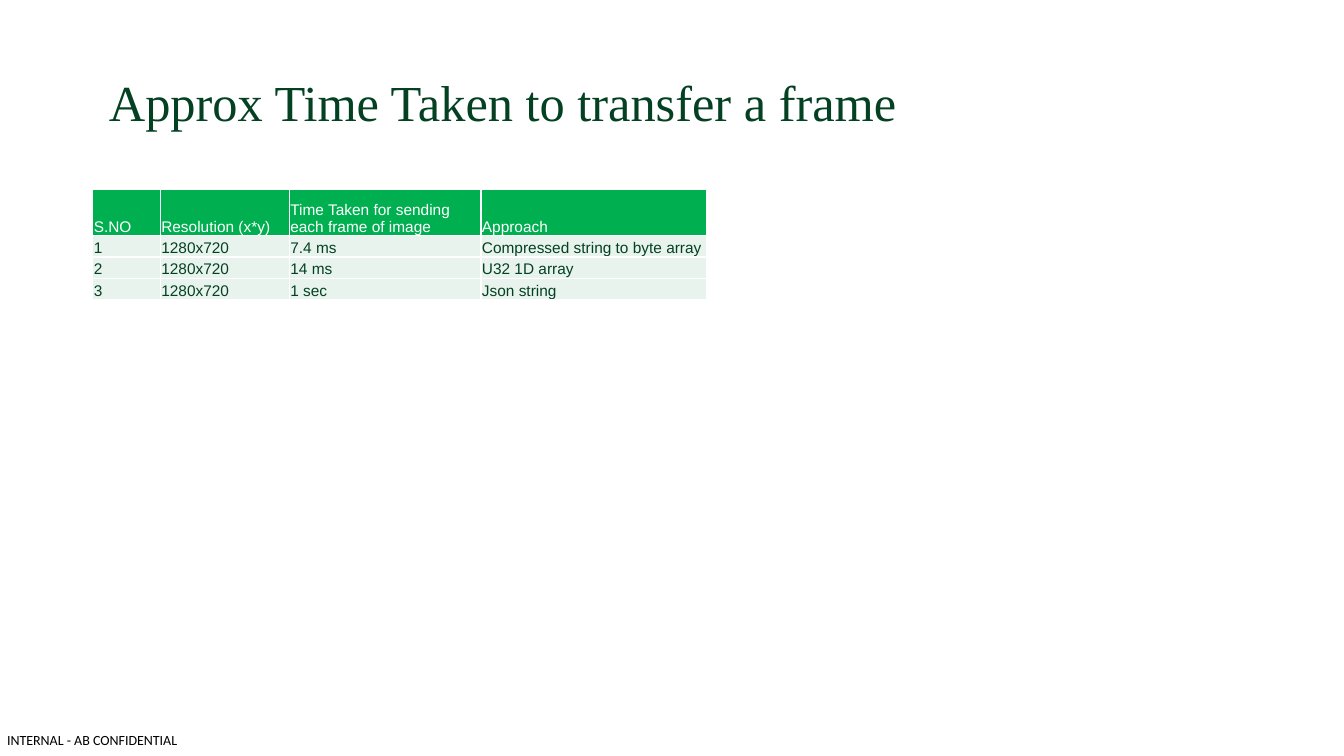
import pptx
import pptx.dml.color
import pptx.enum.text
import pptx.oxml
import pptx.oxml.ns
import pptx.util
from pptx.util import Inches

TITLE = "Approx Time Taken to transfer a frame"
FOOTER = "INTERNAL - AB CONFIDENTIAL"
ROWS = [
    ("S.NO", "Resolution (x*y)", "Time Taken for sending each frame of image", "Approach"),
    ("1", "1280x720", "7.4 ms", "Compressed string to byte array"),
    ("2", "1280x720", "14 ms", "U32 1D array"),
    ("3", "1280x720", "1 sec", "Json string"),
]
COLUMN_WIDTHS = [0.67, 1.28, 1.9, 2.24]
HEADER_HEIGHT, BODY_HEIGHT = 0.46, 0.21

DARK_GREEN, GREEN, PALE_GREEN = "044123", "00B050", "E7F3EC"
WHITE, BLACK = "FFFFFF", "000000"


def color(value):
    return pptx.dml.color.RGBColor.from_string(value)


def write(paragraph, text, size, font, value):
    run = paragraph.add_run()
    run.text = text
    run.font.size = pptx.util.Pt(size)
    run.font.name = font
    run.font.color.rgb = color(value)


def set_margins(target, left, top, right, bottom):
    """Set the inner margins, in inches, of a text frame or table cell."""
    target.margin_left, target.margin_top = Inches(left), Inches(top)
    target.margin_right, target.margin_bottom = Inches(right), Inches(bottom)


def add_borders(cell, value):
    """Draw a one-point line on every side; lines must precede the fill."""
    properties = cell._tc.get_or_add_tcPr()
    for index, side in enumerate(("lnL", "lnR", "lnT", "lnB")):
        line = pptx.oxml.parse_xml(
            f'<a:{side} {pptx.oxml.ns.nsdecls("a")} w="12700"><a:solidFill>'
            f'<a:srgbClr val="{value}"/></a:solidFill></a:{side}>')
        properties.insert(index, line)


def add_title(slide):
    title = slide.shapes.title
    title.left, title.top = Inches(1.08), Inches(0.72)
    title.width, title.height = Inches(11.18), Inches(0.65)
    frame = title.text_frame
    frame.word_wrap = True
    frame.auto_size = pptx.enum.text.MSO_AUTO_SIZE.NONE
    frame.vertical_anchor = pptx.enum.text.MSO_ANCHOR.MIDDLE
    set_margins(frame, 0, 0.05, 0, 0.05)
    paragraph = frame.paragraphs[0]
    paragraph.alignment = pptx.enum.text.PP_ALIGN.LEFT
    paragraph.line_spacing = 0.9
    write(paragraph, TITLE, 36, "Times New Roman", DARK_GREEN)


def add_timing_table(slide):
    heights = [HEADER_HEIGHT] + [BODY_HEIGHT] * (len(ROWS) - 1)
    table = slide.shapes.add_table(
        len(ROWS), len(COLUMN_WIDTHS), Inches(0.92), Inches(1.88),
        Inches(sum(COLUMN_WIDTHS)), Inches(sum(heights))).table
    for column, width in zip(table.columns, COLUMN_WIDTHS):
        column.width = Inches(width)
    for row_index, (texts, height) in enumerate(zip(ROWS, heights)):
        table.rows[row_index].height = Inches(height)
        fill, ink = (PALE_GREEN, DARK_GREEN) if row_index else (GREEN, WHITE)
        for column_index, text in enumerate(texts):
            cell = table.cell(row_index, column_index)
            cell.fill.solid()
            cell.fill.fore_color.rgb = color(fill)
            cell.vertical_anchor = pptx.enum.text.MSO_ANCHOR.BOTTOM
            set_margins(cell, 0.01, 0.01, 0.01, 0)
            add_borders(cell, WHITE)
            paragraph = cell.text_frame.paragraphs[0]
            write(paragraph, text, 11, "Arial", ink)
            paragraph.runs[0].font.bold = False


def add_footer(slide):
    footer = slide.shapes.add_textbox(
        Inches(0.07), Inches(7.26), Inches(1.7), Inches(0.17))
    frame = footer.text_frame
    frame.word_wrap = False
    set_margins(frame, 0, 0, 0, 0)
    write(frame.paragraphs[0], FOOTER, 10, "Calibri", BLACK)


def main():
    presentation = pptx.Presentation()
    presentation.slide_width = Inches(13.33)
    presentation.slide_height = Inches(7.5)
    slide = presentation.slides.add_slide(presentation.slide_layouts[5])
    add_footer(slide)
    add_title(slide)
    add_timing_table(slide)
    presentation.save("out.pptx")


if __name__ == "__main__":
    main()
